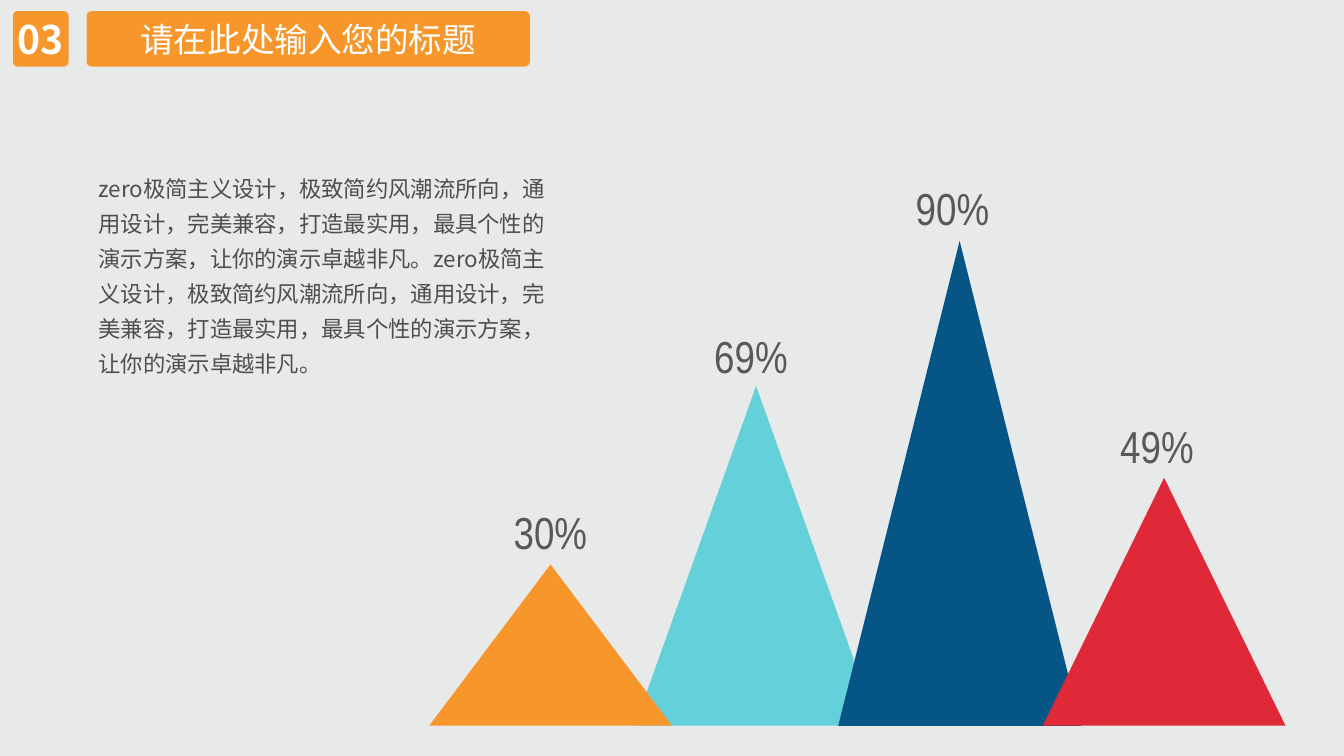
import pptx
import pptx.util
import pptx.dml.color
import pptx.enum.shapes
import pptx.enum.text
import pptx.oxml.ns
import lxml.etree

PX = 9144  # 100 px to the inch
SHAPE = pptx.enum.shapes.MSO_SHAPE
ALIGN = pptx.enum.text.PP_ALIGN
MIDDLE = pptx.enum.text.MSO_ANCHOR.MIDDLE
GROW = pptx.enum.text.MSO_AUTO_SIZE.SHAPE_TO_FIT_TEXT

SANS = "Noto Sans CJK SC"
NARROW = "Arial Narrow"
ORANGE = "F7962B"

BASE = 720
WIDTH = 241
# left, peak, colour, label, label left, label top; from back to front
PEAKS = [
    (630, 383, "64D0DA", "69%", 699, 321),
    (426, 560, ORANGE, "30%", 500, 496),
    (832, 239, "055586", "90%", 899, 174),
    (1035, 474, "DF2938", "49%", 1102, 410),
]
SLOGAN = "zero极简主义设计，极致简约风潮流所向，通用设计，完美兼容，打造最实用，最具个性的演示方案，让你的演示卓越非凡。"


def paint(fill, color):
    fill.solid()
    fill.fore_color.rgb = pptx.dml.color.RGBColor.from_string(color)


def emu(*sizes):
    return [size * PX for size in sizes]


def add_form(slide, kind, box, color):
    form = slide.shapes.add_shape(kind, *emu(*box))
    form.shadow.inherit = False
    form.line.fill.background()
    paint(form.fill, color)
    return form


def write(frame, text, size, font, color, bold=False):
    """Set one paragraph of text and format its run, East Asian font included."""
    frame.text = text
    line = frame.paragraphs[0]
    run = line.runs[0]
    run.font.size = pptx.util.Pt(size)
    run.font.name = font
    run.font.bold = bold
    paint(run.font.fill, color)
    asian = lxml.etree.Element(pptx.oxml.ns.qn("a:ea"), typeface=font)
    run.font._element.find(pptx.oxml.ns.qn("a:latin")).addnext(asian)
    return line


def add_badge(slide, box, round_by, text, size, bold=False):
    badge = add_form(slide, SHAPE.ROUNDED_RECTANGLE, box, ORANGE)
    badge.adjustments[0] = round_by
    frame = badge.text_frame
    frame.vertical_anchor = MIDDLE
    frame.margin_left = frame.margin_right = 0
    frame.margin_top = frame.margin_bottom = 0
    write(frame, text, size, SANS, "FFFFFF", bold).alignment = ALIGN.CENTER


def add_text(slide, box, text, size, font, color, wrap):
    frame = slide.shapes.add_textbox(*emu(*box)).text_frame
    frame.word_wrap = wrap
    frame.auto_size = GROW
    line = write(frame, text, size, font, color)
    return frame, line


def add_body(slide):
    frame, line = add_text(slide, (88, 161, 464, 218), SLOGAN * 2, 16, SANS, "4E4E4E", True)
    frame.vertical_anchor = MIDDLE
    line.line_spacing = 1.3
    line.space_before = line.space_after = pptx.util.Pt(6)


def main():
    deck = pptx.Presentation()
    deck.slide_width, deck.slide_height = emu(1334, 750)
    slide = deck.slides.add_slide(deck.slide_layouts[6])
    paint(slide.background.fill, "E8E9E9")

    for left, peak, color, *_ in PEAKS:
        add_form(slide, SHAPE.ISOSCELES_TRIANGLE, (left, peak, WIDTH, BASE - peak), color)
    for *_, label, left, top in PEAKS:
        add_text(slide, (left, top, 108, 64), label, 32, NARROW, "595959", False)

    add_body(slide)
    add_badge(slide, (13, 11, 55, 55), 0.08, "03", 28, True)
    add_badge(slide, (86, 11, 440, 55), 0.09, "请在此处输入您的标题", 24)
    deck.save("out.pptx")


if __name__ == "__main__":
    main()
